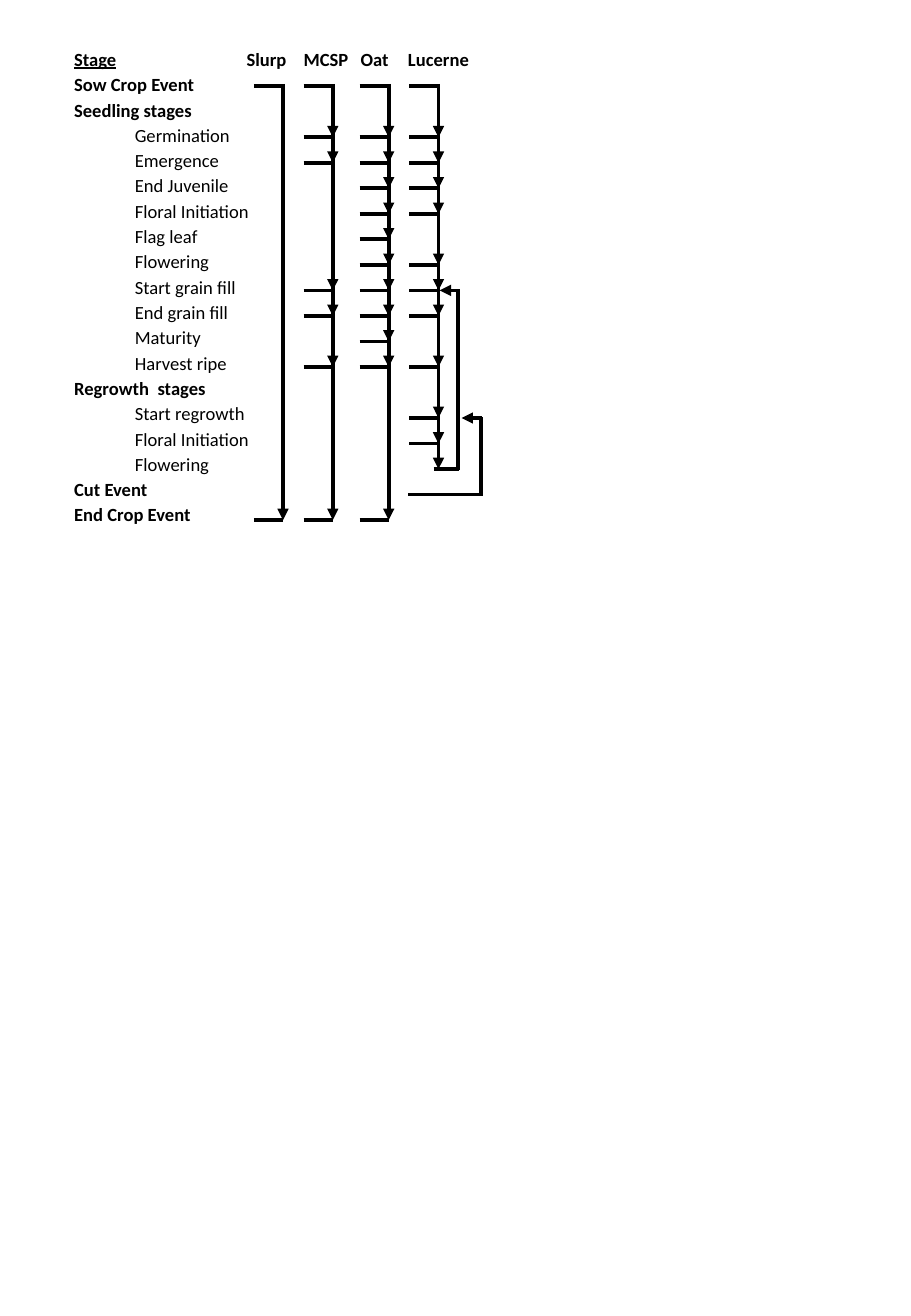
from lxml.etree import SubElement
from pptx import Presentation
from pptx.dml.color import RGBColor
from pptx.enum.shapes import MSO_CONNECTOR
from pptx.enum.text import MSO_ANCHOR
from pptx.oxml.ns import qn
from pptx.util import Emu, Pt

BLACK = RGBColor(0, 0, 0)
FONT_FORMAT = {"name": "Calibri", "size": Pt(11)}
CELL_FORMAT = {
    "vertical_anchor": MSO_ANCHOR.BOTTOM,
    "margin_left": 9144, "margin_right": 9144, "margin_top": 9144, "margin_bottom": 0,
}

HEADINGS = ["Stage", "Slurp", "MCSP", "Oat", "Lucerne"]
SECTIONS = [
    ("Sow Crop Event", []),
    ("Seedling stages", ["Germination", "Emergence", "End Juvenile", "Floral Initiation",
                         "Flag leaf", "Flowering", "Start grain fill", "End grain fill",
                         "Maturity", "Harvest ripe"]),
    ("Regrowth  stages", ["Start regrowth", "Floral Initiation", "Flowering"]),
    ("Cut Event", []),
    ("End Crop Event", []),
]
WIDE_ROWS = (6, 7, 9, 10, 14, 15)
COLUMN_WIDTHS = [142, 47, 47, 39, 55]
TABLE_BOX = (60, 38, 330, 396)

# Stem position from the table's left edge, and the rows its arrows reach
CROP_PATHS = {
    "Slurp": (173, [18]),
    "MCSP": (214, [3, 4, 9, 10, 12, 18]),
    "Oat": (260, [*range(3, 13), 18]),
    "Lucerne": (301, [3, 4, 5, 6, 8, 9, 10, 12, 14, 15, 16]),
}
SOW_ROW = 1
LOOP_START_ROW = 16
# Start, side and arrow tip from the table's left edge, then first and last row
LOOPS = [(297, 317, 302, LOOP_START_ROW, 9), (276, 336, 320, 17, 14)]
TICK_LENGTH = 24
ARROW_LENGTH = 16
STEM_GAP = 11


def px(length):
    """Convert px, at 100 to the inch, to EMU."""
    return Emu(round(length * 9144))


def apply_format(target, values):
    for name, value in values.items():
        setattr(target, name, value)


def row_level(top, row):
    """Height at which lines meet a stage row."""
    return top + 12 + 21 * row


def write_cell(cell, text="", bold=False, underline=False, indent=0):
    apply_format(cell, CELL_FORMAT)
    cell.fill.background()
    paragraph = cell.text_frame.paragraphs[0]
    if not text:
        SubElement(paragraph._p, qn("a:endParaRPr"), sz="1100")
        return
    if indent:
        paragraph.level = 1
        properties = paragraph._p.get_or_add_pPr()
        properties.set("marL", str(px(indent)))
        properties.set("indent", "0")
    run = paragraph.add_run()
    run.text = text
    apply_format(run.font, {**FONT_FORMAT, "bold": bold, "underline": underline})
    run.font.color.rgb = BLACK


def add_stage_table(slide, box):
    stages = []
    for section, names in SECTIONS:
        stages.append((section, True))
        stages.extend((name, False) for name in names)

    frame = slide.shapes.add_table(len(stages) + 1, len(HEADINGS), *map(px, box))
    table = frame.table
    apply_format(table, {"first_row": False, "horz_banding": False})
    for column, width in zip(table.columns, COLUMN_WIDTHS):
        column.width = px(width)

    for index, heading in enumerate(HEADINGS):
        write_cell(table.cell(0, index), heading, bold=True, underline=index == 0)
    for row, (name, is_section) in enumerate(stages, start=1):
        write_cell(table.cell(row, 0), name, bold=is_section, indent=0 if is_section else 50)
        for index in range(1, len(HEADINGS)):
            sowing_mark = row == SOW_ROW and HEADINGS[index] == "MCSP"
            write_cell(table.cell(row, index), "-" if sowing_mark else "")
    for row in WIDE_ROWS:
        table.cell(row, 0).merge(table.cell(row, 1))


def add_line(slide, start, end, arrow=False):
    connector = slide.shapes.add_connector(
        MSO_CONNECTOR.STRAIGHT, *map(px, (*start, *end)))
    connector.line.color.rgb = BLACK
    connector.line.width = Pt(2.25)
    if arrow:
        SubElement(connector.line._get_or_add_ln(), qn("a:tailEnd"), type="triangle")
    SubElement(connector._element.spPr, qn("a:effectLst"))


def add_crop_path(slide, box, stem, rows):
    left, top = box[:2]
    x = left + stem
    add_line(slide, (x, top + 31), (x, row_level(top, rows[-1]) - STEM_GAP))
    for row in [SOW_ROW, *rows]:
        y = row_level(top, row)
        if row != LOOP_START_ROW:
            add_line(slide, (x - TICK_LENGTH, y), (x, y))
        if row != SOW_ROW:
            add_line(slide, (x, y - ARROW_LENGTH), (x, y), arrow=True)


def add_loop(slide, box, start, side, tip, first_row, last_row):
    """Draw a path that returns upward to an earlier stage."""
    left, top = box[:2]
    bottom, upper = row_level(top, first_row), row_level(top, last_row)
    x = left + side
    add_line(slide, (left + start, bottom), (x + 1, bottom))
    add_line(slide, (x, bottom + 1), (x, upper - 1))
    add_line(slide, (x + 1, upper), (left + tip, upper), arrow=True)


def add_stage_slide(presentation):
    slide = presentation.slides.add_slide(presentation.slide_layouts[6])
    add_stage_table(slide, TABLE_BOX)
    for stem, rows in CROP_PATHS.values():
        add_crop_path(slide, TABLE_BOX, stem, rows)
    for loop in LOOPS:
        add_loop(slide, TABLE_BOX, *loop)


def main():
    presentation = Presentation()
    apply_format(presentation, {"slide_width": px(750), "slide_height": px(1083)})
    add_stage_slide(presentation)
    presentation.save("out.pptx")


if __name__ == "__main__":
    main()
